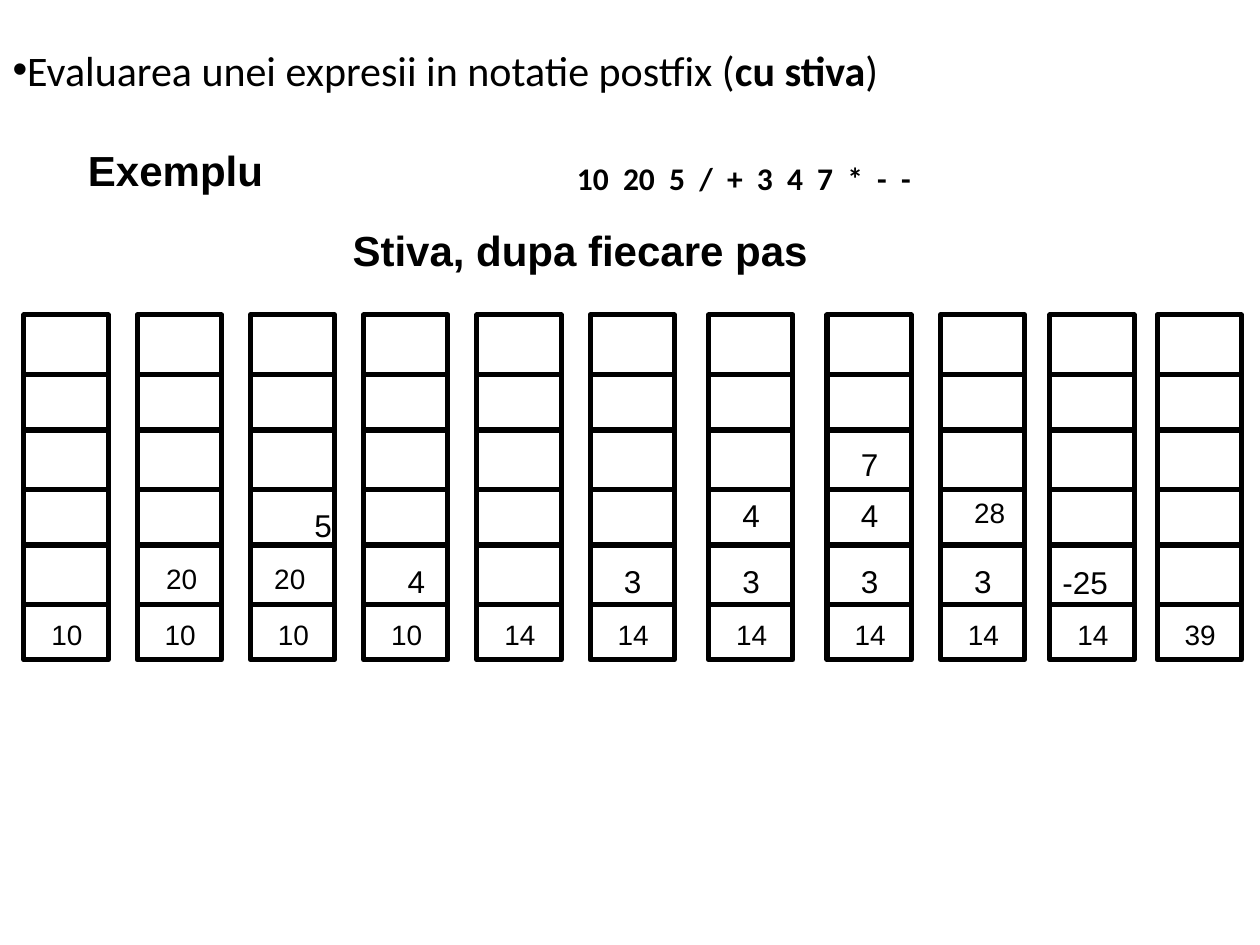
from dataclasses import dataclass
from itertools import accumulate
from typing import NamedTuple, Optional

from lxml.etree import SubElement
from pptx import Presentation
from pptx.dml.color import RGBColor
from pptx.enum.shapes import MSO_SHAPE as Preset
from pptx.enum.text import MSO_ANCHOR as Anchor, MSO_AUTO_SIZE as AutoSize, PP_ALIGN as Align
from pptx.oxml.ns import qn
from pptx.util import Pt


@dataclass(frozen=True)
class Theme:
    """Colours, fonts and type sizes of the slide."""
    ink: RGBColor = RGBColor(0, 0, 0)
    paper: RGBColor = RGBColor(255, 255, 255)
    sans: str = "Arial"
    text: str = "Calibri"
    heading: float = 24
    large: float = 18
    small: float = 16
    border: float = 2.89


class Box(NamedTuple):
    """A rectangle in points."""
    left: float
    top: float
    width: float
    height: float


class Span(NamedTuple):
    """A run of text."""
    text: str
    bold: bool = False


class Value(NamedTuple):
    """A number on a stack, with its offset from the cell's corner."""
    text: str
    shift: float = 12.2
    drop: Optional[float] = None
    width: float = 32.4


THEME = Theme()
CELL_WIDTH, CELL_HEIGHT = 48.2, 33.8
COLUMN_LEFTS = list(accumulate([13.7] + [64.7] * 5 + [67.7] * 2 + [64.8, 62.6, 61.2]))
ROW_TOPS = list(accumulate([180] + [31.7, 34.1] * 2 + [31.7]))[::-1]
LEVEL_DROPS = [5.8, 5.8, 2.2, 5]

BOTTOM_SHIFT = 8.6
TEN, FOURTEEN = Value("10", BOTTOM_SHIFT), Value("14", BOTTOM_SHIFT)
THREE, FOUR = Value("3"), Value("4")
STACKS = [
    [TEN],
    [TEN, Value("20", 9.4)],
    [TEN, Value("20", 6.5), Value("5", 29.5, 7.9)],
    [TEN, Value("4", 18)],
    [FOURTEEN],
    [FOURTEEN, THREE],
    [FOURTEEN, THREE, FOUR],
    [FOURTEEN, THREE, FOUR, Value("7")],
    [FOURTEEN, THREE, Value("28")],
    [FOURTEEN, Value("-25", 0, 6.5, 55.4)],
    [Value("39", BOTTOM_SHIFT)],
]


def write(shape, spans: list[Span], font: str, size: float, align=Align.LEFT) -> None:
    """Fill a shape with one paragraph, run by run."""
    frame = shape.text_frame
    frame.word_wrap = True
    frame.auto_size = AutoSize.NONE
    frame.vertical_anchor = Anchor.TOP
    paragraph = frame.paragraphs[0]
    paragraph.alignment = align
    for span in spans:
        run = paragraph.add_run()
        run.text = span.text
        run.font.name = font
        run.font.size = Pt(size)
        run.font.bold = span.bold
        run.font.color.rgb = THEME.ink


def add_text(slide, box: Box, span: Span, font: str, size: float, align=Align.LEFT) -> None:
    """Add a text box."""
    write(slide.shapes.add_textbox(*map(Pt, box)), [span], font, size, align)


def set_title(slide, box: Box, spans: list[Span]) -> None:
    """Place the title and give it a bullet without indent."""
    title = slide.shapes.title
    title.left, title.top, title.width, title.height = map(Pt, box)
    write(title, spans, THEME.text, THEME.heading)
    properties = title.text_frame.paragraphs[0]._p.get_or_add_pPr()
    properties.set("marL", "0")
    properties.set("indent", "0")
    SubElement(properties, qn("a:buFont")).set("typeface", THEME.sans)
    SubElement(properties, qn("a:buChar")).set("char", "•")


def add_cell(slide, left: float, top: float) -> None:
    """Add one empty cell of a stack."""
    cell = slide.shapes.add_shape(
        Preset.RECTANGLE, *map(Pt, Box(left, top, CELL_WIDTH, CELL_HEIGHT)))
    cell.shadow.inherit = False
    cell.fill.solid()
    cell.fill.fore_color.rgb = THEME.paper
    cell.line.color.rgb = THEME.ink
    cell.line.width = Pt(THEME.border)


def add_stack(slide, left: float, values: list[Value]) -> None:
    """Add a column of cells and its values, from the bottom up."""
    for top in ROW_TOPS:
        add_cell(slide, left, top)
    for value, top, level_drop in zip(values, ROW_TOPS, LEVEL_DROPS):
        drop = level_drop if value.drop is None else value.drop
        size = THEME.small if len(value.text) == 2 else THEME.large
        add_text(slide, Box(left + value.shift, top + drop, value.width, 27),
                 Span(value.text), THEME.sans, size)


def main() -> None:
    """Build and save the slide."""
    presentation = Presentation()
    presentation.slide_width, presentation.slide_height = Pt(720), Pt(540)
    slide = presentation.slides.add_slide(presentation.slide_layouts[5])
    set_title(slide, Box(0, 21.6, 698.4, 36), [
        Span("Evaluarea unei expresii in notatie postfix ("),
        Span("cu stiva", True), Span(")")])
    add_text(slide, Box(43.2, 79.2, 136.8, 40.3), Span("Exemplu", True),
             THEME.sans, THEME.heading)
    add_text(slide, Box(242.6, 87.1, 369.4, 28.1),
             Span("10  20  5  /  +  3  4  7  *  -  - ", True),
             THEME.text, THEME.large, Align.CENTER)
    add_text(slide, Box(194.4, 124.6, 403.2, 33.8), Span("Stiva, dupa fiecare pas", True),
             THEME.sans, THEME.heading)
    for left, values in zip(COLUMN_LEFTS, STACKS):
        add_stack(slide, left, values)
    presentation.save("out.pptx")


main()
